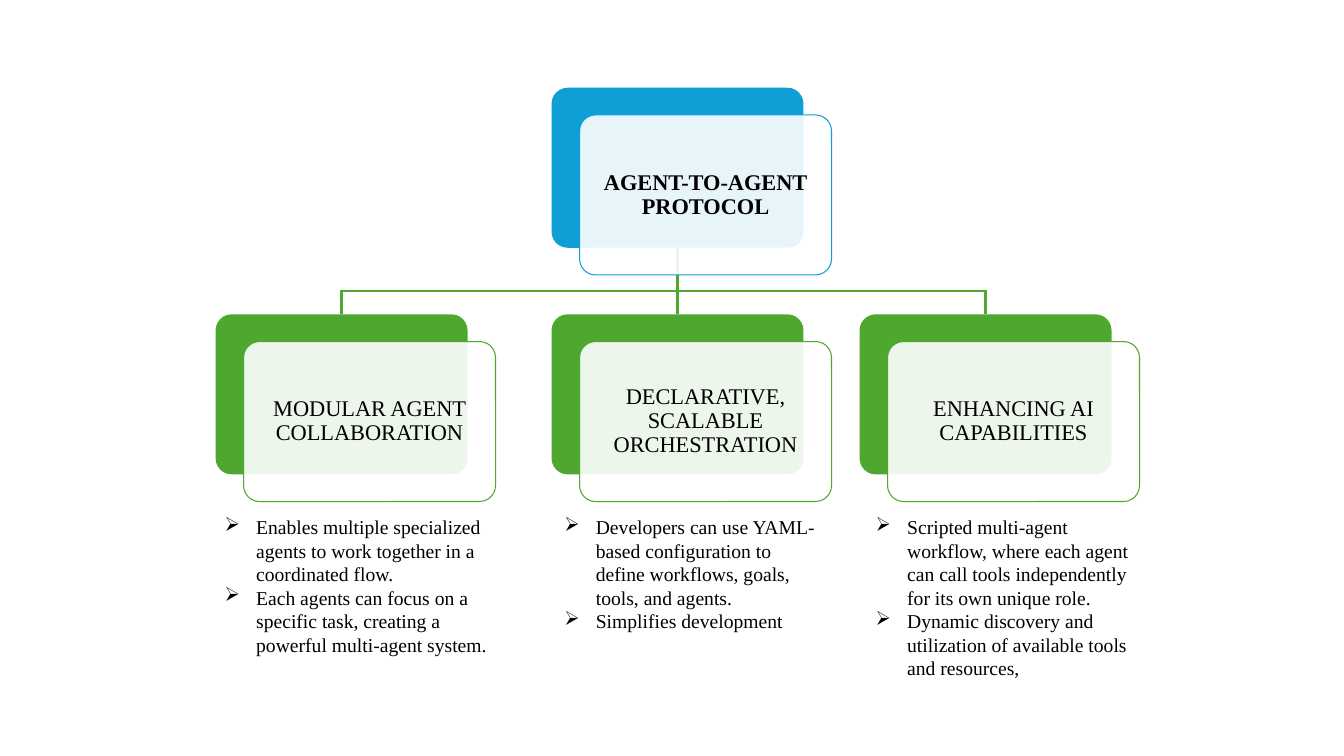
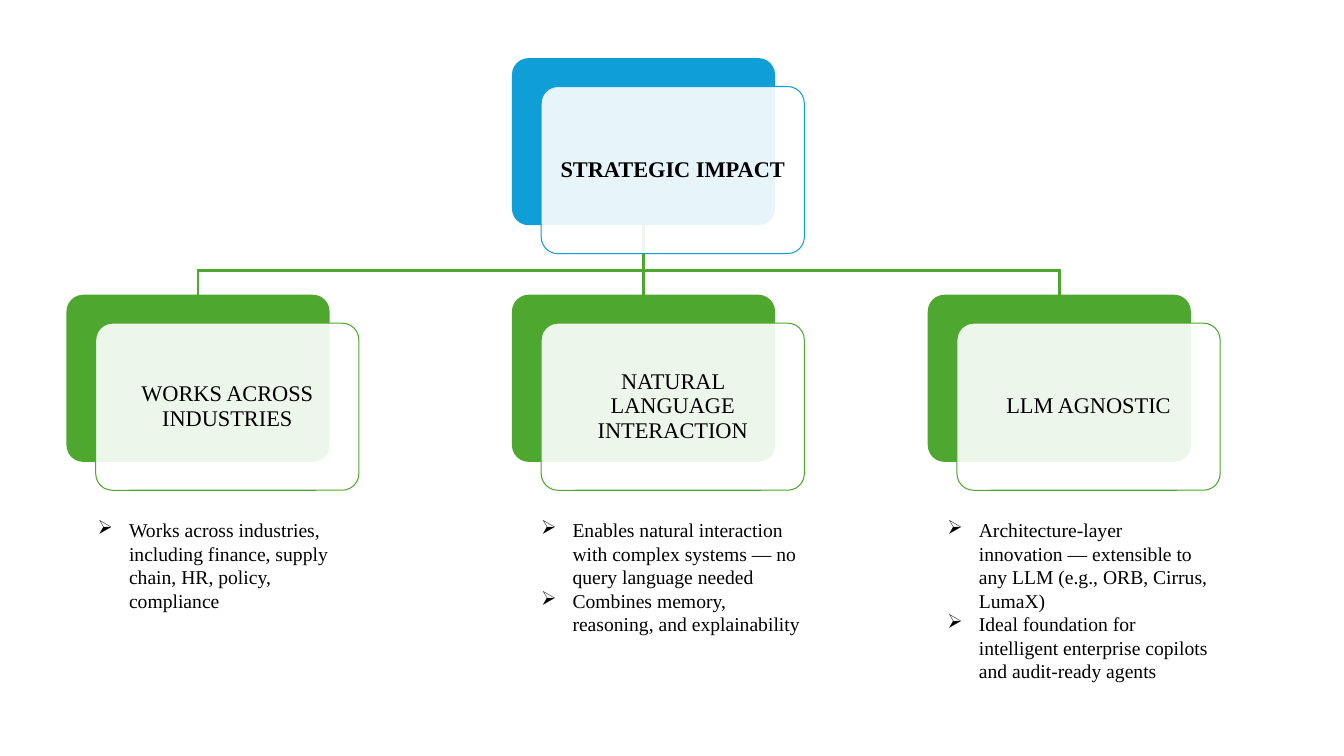
from dataclasses import dataclass
from lxml.etree import SubElement
from pptx import Presentation
from pptx.dml.color import RGBColor
from pptx.enum.shapes import MSO_CONNECTOR as LINE, MSO_SHAPE as SHAPE
from pptx.enum.text import MSO_ANCHOR as ANCHOR, MSO_AUTO_SIZE as AUTO, PP_ALIGN as ALIGN
from pptx.oxml.ns import qn
from pptx.util import Pt

COLORS = {"root": "0F9ED5", "branch": "4EA72E", "card": "FFFFFF", "text": "000000"}
FONT = "Times New Roman"
LINE_W = 2
BULLET_INDENT = 22.5
LINE_H = 16.9  # one line of 14 pt list text


@dataclass
class Branch:
    title: str
    left: float
    list_left: float
    bullets: list
    list_width: float = 201.6
    list_lines: int = 6


@dataclass
class Tree:
    """A root above its branches; the middle branch stands below the root."""
    title: str
    top: float
    plate_w: float
    list_top: float
    branches: list

    @property
    def plate_h(self):
        return self.plate_w * 0.635

    @property
    def gap(self):
        return self.plate_h * 0.416

    @property
    def branch_top(self):
        return self.top + self.plate_h + self.gap

    @property
    def bar_y(self):
        return self.top + self.plate_h + self.gap * 0.65


TREES = [
    Tree("AGENT-TO-AGENT PROTOCOL", 62.7, 180, 364.3, [
        Branch("MODULAR AGENT COLLABORATION", 154, 153.4, [
            "Enables multiple specialized agents to work together in a coordinated flow.",
            "Each agents can focus on a specific task, creating a powerful multi-agent system."]),
        Branch("DECLARATIVE, SCALABLE ORCHESTRATION", 394, 396, [
            "Developers can use YAML-based configuration to define workflows, goals, "
            "tools, and agents.",
            "Simplifies development"], 195.8, 5),
        Branch("ENHANCING AI CAPABILITIES", 614, 618.4, [
            "Scripted multi-agent workflow, where each agent can call tools independently "
            "for its own unique role.",
            "Dynamic discovery and utilization of available tools and resources,"], 195.8, 7),
    ]),
    Tree("STRATEGIC IMPACT", 41.5, 188, 366.5, [
        Branch("WORKS ACROSS INDUSTRIES", 47.5, 62.6, [
            "Works across industries, including finance, supply chain, HR, policy, compliance"]),
        Branch("NATURAL LANGUAGE INTERACTION", 365.7, 379.4, [
            "Enables natural interaction with complex systems — no query language needed",
            "Combines memory, reasoning, and explainability"]),
        Branch("LLM AGNOSTIC", 662.7, 669.6, [
            "Architecture-layer innovation — extensible to any LLM (e.g., ORB, Cirrus, LumaX)",
            "Ideal foundation for intelligent enterprise copilots and audit-ready agents"],
            list_lines=7),
    ]),
]


def rgb(name):
    return RGBColor.from_string(COLORS[name])


def style_runs(p, size, bold=False):
    for r in p.runs:
        r.font.name, r.font.size, r.font.bold = FONT, Pt(size), bold
        r.font.color.rgb = rgb("text")


def add_box(s, left, top, tree, fill):
    sp = s.shapes.add_shape(SHAPE.ROUNDED_RECTANGLE, Pt(left), Pt(top),
                            Pt(tree.plate_w), Pt(tree.plate_h))
    sp.adjustments[0] = 0.1
    sp.shadow.inherit = False
    sp.fill.solid()
    sp.fill.fore_color.rgb = rgb(fill)
    sp.line.fill.background()
    return sp


def add_card(s, left, top, tree, color, title, bold=False):
    """Translucent titled card, set down and right of its plate."""
    sp = add_box(s, left + tree.plate_w / 9, top + tree.plate_h * 0.17, tree, "card")
    clr = sp.fill._xPr.find(qn("a:solidFill")).find(qn("a:srgbClr"))
    SubElement(clr, qn("a:alpha"), val="90000")
    sp.line.color.rgb = rgb(color)
    sp.line.width = Pt(0.75)
    tf = sp.text_frame
    tf.word_wrap = True
    tf.vertical_anchor = ANCHOR.MIDDLE
    tf.margin_left = tf.margin_right = tf.margin_top = tf.margin_bottom = Pt(8.3)
    tf.text = title
    p = tf.paragraphs[0]
    p.alignment, p.line_spacing = ALIGN.CENTER, 0.9
    style_runs(p, 16, bold)


def add_line(s, x1, y1, x2, y2):
    ln = s.shapes.add_connector(LINE.STRAIGHT, Pt(x1), Pt(y1), Pt(x2), Pt(y2))
    ln.line.color.rgb = rgb("branch")
    ln.line.width = Pt(LINE_W)
    SubElement(ln._element.spPr, qn("a:effectLst"))
    return ln


def add_links(s, tree, root, plates):
    """Trunk to the middle branch, crossbar, and a drop to each outer branch."""
    xs = [b.left + tree.plate_w / 2 for b in tree.branches]
    trunk = add_line(s, xs[1], tree.bar_y, xs[1], tree.branch_top)
    trunk.begin_connect(root, 2)
    trunk.end_connect(plates[1], 0)
    add_line(s, xs[0] - LINE_W / 2, tree.bar_y, xs[-1] + LINE_W / 2, tree.bar_y)
    for i in (0, -1):
        drop = add_line(s, xs[i], tree.bar_y, xs[i], tree.branch_top)
        drop.end_connect(plates[i], 0)


def add_bullets(s, top, branch):
    sp = s.shapes.add_textbox(Pt(branch.list_left), Pt(top), Pt(branch.list_width),
                              Pt(branch.list_lines * LINE_H + 7.2))
    tf = sp.text_frame
    tf.word_wrap = True
    tf.auto_size = AUTO.SHAPE_TO_FIT_TEXT
    tf.text = "\n".join(branch.bullets)
    for p in tf.paragraphs:
        style_runs(p, 14)
        pPr = p._p.get_or_add_pPr()
        pPr.set("marL", str(Pt(BULLET_INDENT)))
        pPr.set("indent", str(-Pt(BULLET_INDENT)))
        SubElement(pPr, qn("a:buChar"), char="➢")


def add_tree(s, tree):
    root_left = tree.branches[1].left
    root = add_box(s, root_left, tree.top, tree, "root")
    plates = [add_box(s, b.left, tree.branch_top, tree, "branch") for b in tree.branches]
    add_links(s, tree, root, plates)
    add_card(s, root_left, tree.top, tree, "root", tree.title, bold=True)
    for b in tree.branches:
        add_card(s, b.left, tree.branch_top, tree, "branch", b.title)
        add_bullets(s, tree.list_top, b)


def main():
    prs = Presentation()
    prs.slide_width, prs.slide_height = Pt(960), Pt(540)
    for tree in TREES:
        add_tree(prs.slides.add_slide(prs.slide_layouts[6]), tree)
    prs.save("out.pptx")


if __name__ == "__main__":
    main()
